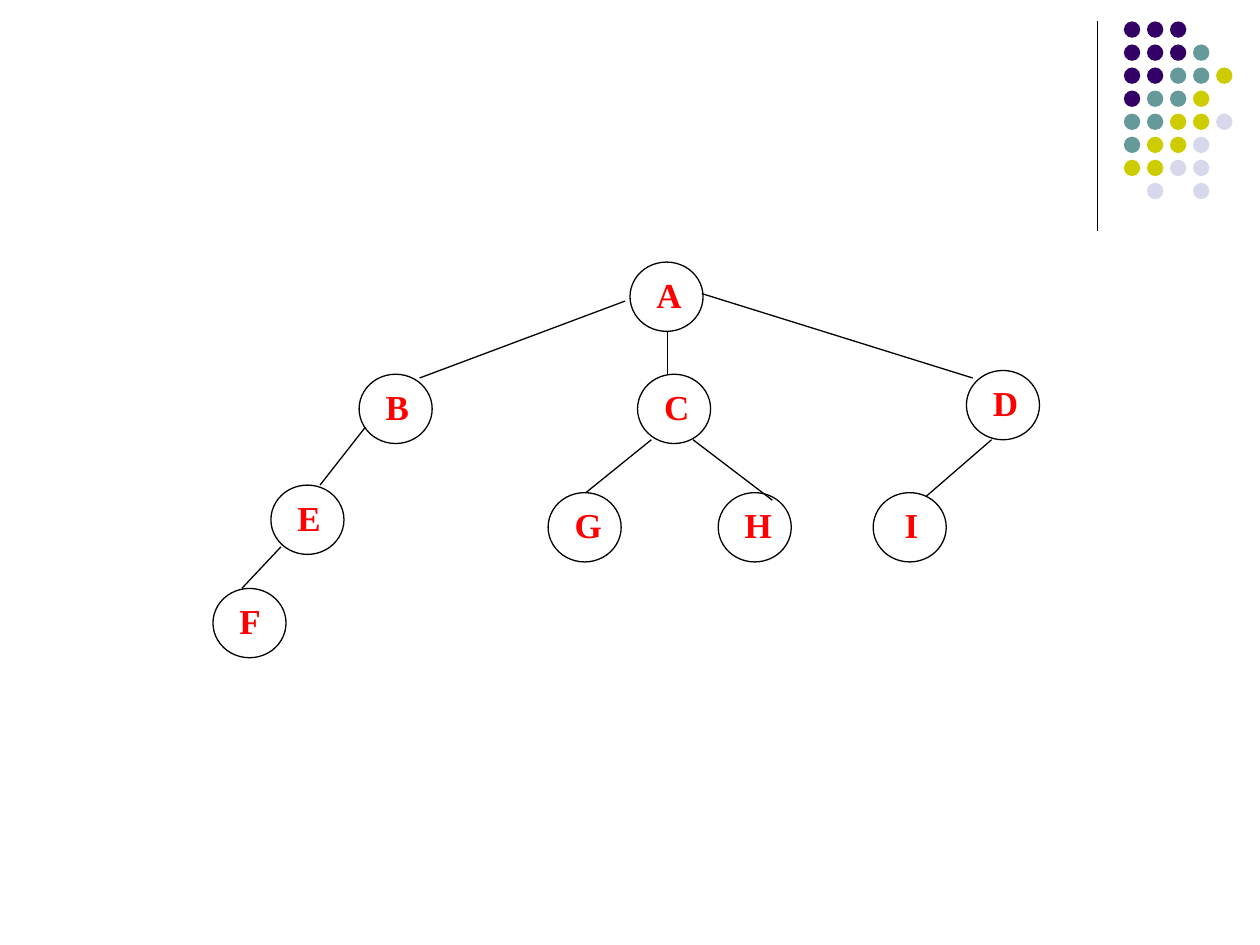
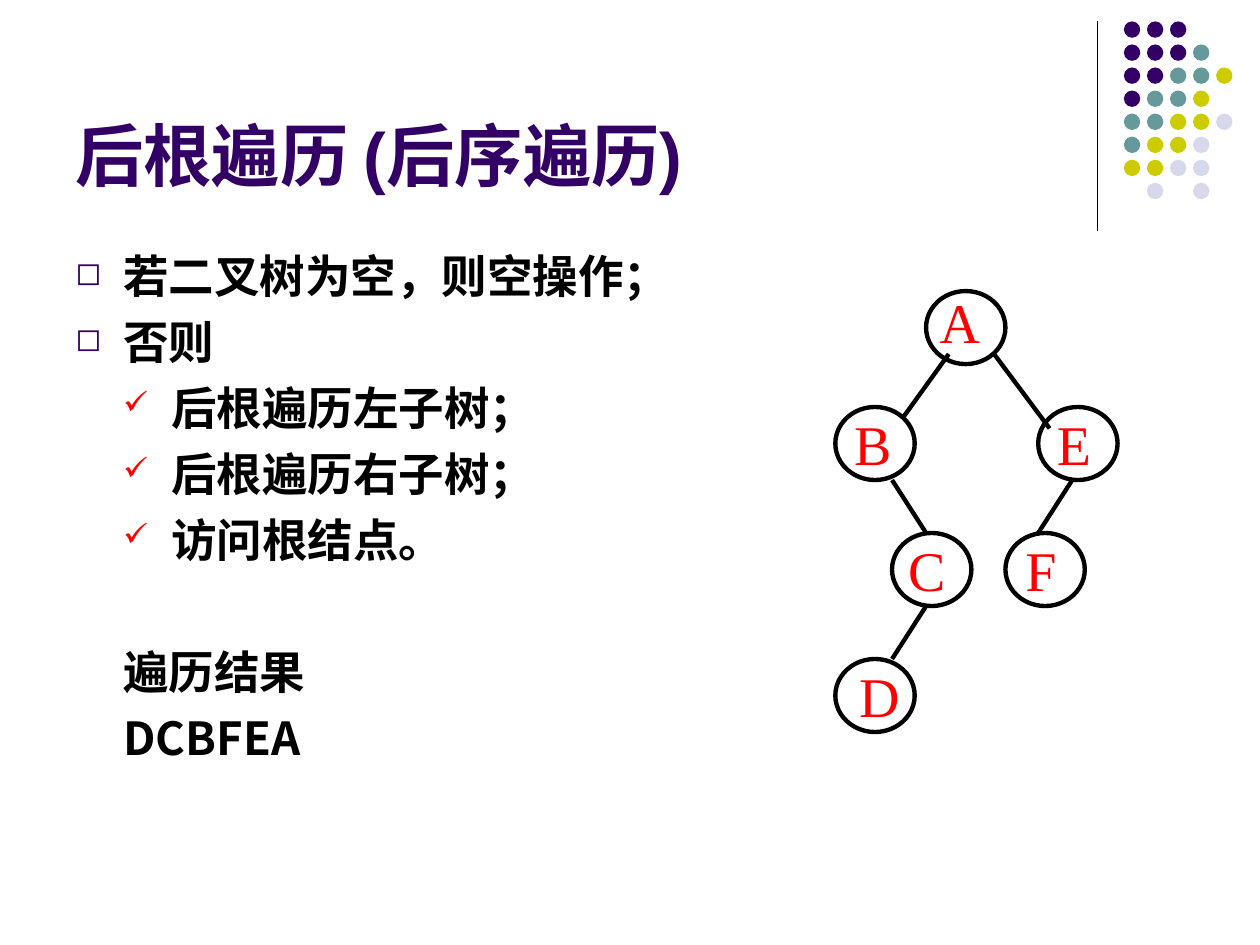
from pptx import Presentation
from pptx.dml.color import RGBColor
from pptx.enum.shapes import MSO_CONNECTOR, MSO_SHAPE
from pptx.enum.text import MSO_ANCHOR
from pptx.oxml.ns import qn
from pptx.util import Inches, Pt
from lxml.etree import SubElement

PURPLE, RED, BLACK = "330066", "FF0000", "000000"
DOT_COLORS = {"P": PURPLE, "T": "669999", "Y": "CCCC00", "L": "D8D8EC"}
DOT_ROWS = ["PPP", "PPPT", "PPTTY", "PTTY", "TTYYL", "TYYL", "YYLL", " L L"]
SERIF, SANS, CHINESE = "Times New Roman", "Arial", "Noto Sans CJK SC"


def color(value):
    """Turn a hex string into a colour."""
    return RGBColor.from_string(value)


class Deck:
    """Hold the shared style and the current slide."""

    def __init__(self):
        self.presentation = Presentation()
        self.presentation.slide_width = Inches(10)
        self.presentation.slide_height = Inches(7.5)
        self.slide = None

    def new_slide(self):
        """Start a slide with the corner rule and dots."""
        self.slide = self.presentation.slides.add_slide(self.presentation.slide_layouts[6])
        self.line((8.71, 0.17), (8.71, 1.83))
        for row, pattern in enumerate(DOT_ROWS):
            for column, key in enumerate(pattern):
                if key in DOT_COLORS:
                    left, top = 8.92 + 0.183 * column, 0.17 + 0.183 * row
                    self.ellipse(left, top, 0.13, 0.13, fill=DOT_COLORS[key])

    def line(self, start, end, weight=0.75):
        """Draw a straight black line."""
        points = [Inches(value) for value in (*start, *end)]
        connector = self.slide.shapes.add_connector(MSO_CONNECTOR.STRAIGHT, *points)
        connector.line.color.rgb = color(BLACK)
        connector.line.width = Pt(weight)
        SubElement(connector._element.spPr, qn("a:effectLst"))

    def ellipse(self, left, top, width, height, fill=None, weight=0.75):
        """Draw a filled dot, or an outlined ring when there is no fill."""
        box = [Inches(value) for value in (left, top, width, height)]
        shape = self.slide.shapes.add_shape(MSO_SHAPE.OVAL, *box)
        shape.shadow.inherit = False
        if fill:
            shape.fill.solid()
            shape.fill.fore_color.rgb = color(fill)
            shape.line.fill.background()
        else:
            shape.fill.background()
            shape.line.color.rgb = color(BLACK)
            shape.line.width = Pt(weight)

    def text_box(self, left, top, width, height, insets):
        """Add an empty wrapping text box and return its frame."""
        box = [Inches(value) for value in (left, top, width, height)]
        frame = self.slide.shapes.add_textbox(*box).text_frame
        frame.word_wrap = True
        frame.margin_left, frame.margin_top, frame.margin_right, frame.margin_bottom = (
            Inches(value) for value in insets)
        return frame

    def style(self, paragraph, size, font, ink, bold=False):
        """Format every run of a paragraph."""
        for run in paragraph.runs:
            run.font.size = Pt(size)
            run.font.name = font
            run.font.bold = bold
            run.font.color.rgb = color(ink)
            SubElement(run._r.get_or_add_rPr(), qn("a:ea"), typeface=CHINESE)

    def label(self, text, box, insets, size, bold, spacing=None):
        """Write the red letter of a tree node."""
        frame = self.text_box(*box, insets)
        frame.text = text
        paragraph = frame.paragraphs[0]
        paragraph.line_spacing = spacing
        self.style(paragraph, size, SERIF, RED, bold)

    def title(self, text):
        """Write the slide title."""
        frame = self.text_box(0.5, 0.13, 8.25, 1.42, (0.1, 0.05, 0.1, 0))
        frame.vertical_anchor = MSO_ANCHOR.BOTTOM
        frame.text = text
        self.style(frame.paragraphs[0], 39, SANS, PURPLE, True)

    def body(self, items):
        """Write the body from (text, level, bullet, bullet colour, space before) rows."""
        frame = self.text_box(0.5, 1.88, 9, 4.82, (0.1, 0, 0.1, 0.05))
        for index, (text, level, bullet, ink, before) in enumerate(items):
            paragraph = frame.add_paragraph() if index else frame.paragraphs[0]
            paragraph.text = text
            paragraph.level = level
            paragraph.line_spacing = Pt(37.7)
            paragraph.space_before = Pt(before)
            self.style(paragraph, 26, CHINESE, BLACK, True)
            self.indent(paragraph, 0.38 * (level + 1), bullet, ink)

    def indent(self, paragraph, margin, bullet, ink):
        """Give a paragraph its hanging indent and optional bullet."""
        properties = paragraph._p.get_or_add_pPr()
        properties.set("marL", str(Inches(margin)))
        properties.set("indent", str(Inches(-0.38)))
        if bullet:
            bullet_color = SubElement(properties, qn("a:buClr"))
            SubElement(bullet_color, qn("a:srgbClr"), val=ink)
            SubElement(properties, qn("a:buSzPct"), val="70000")
            SubElement(properties, qn("a:buChar"), char=bullet)
        else:
            SubElement(properties, qn("a:buNone"))


def general_tree(deck):
    """Build the slide with the nine-node tree."""
    nodes = {"A": (5, 2.08), "E": (2.15, 3.85), "C": (5.06, 2.97),
             "D": (7.67, 2.94), "B": (2.85, 2.97), "I": (6.93, 3.91),
             "H": (5.7, 3.91), "G": (4.35, 3.91), "F": (1.69, 4.67)}
    edges = [((4.96, 2.39), (3.33, 3)), ((5.3, 2.63), (5.3, 2.97)),
             ((5.57, 2.33), (7.72, 3)), ((2.9, 3.39), (2.54, 3.85)),
             ((5.5, 3.49), (6.13, 3.97)), ((5.17, 3.49), (4.65, 3.91)),
             ((7.87, 3.49), (7.35, 3.94)), ((2.23, 4.34), (1.92, 4.67))]
    deck.new_slide()
    for name, (left, top) in nodes.items():
        deck.ellipse(left, top, 0.58, 0.55)
        shift = 0.25 if name == "I" else 0.21
        deck.label(name, (left + shift, top + 0.09, 0.25, 0.37), (0, 0, 0, 0), 20, True)
    for start, end in edges:
        deck.line(start, end)


def postorder_traversal(deck):
    """Build the slide on post-order traversal."""
    deck.new_slide()
    deck.title("后根遍历 (后序遍历)")
    deck.body([
        ("若二叉树为空，则空操作；", 0, "◻", PURPLE, 0),
        ("否则", 0, "◻", PURPLE, 0),
        ("后根遍历左子树；", 1, "✓", RED, 0),
        ("后根遍历右子树；", 1, "✓", RED, 0),
        ("访问根结点。", 1, "✓", RED, 0),
        ("遍历结果", 1, None, None, 37.7),
        ("DCBFEA", 1, None, None, 0),
    ])
    nodes = {"A": (7.35, 2.31, 0.01), "B": (6.63, 3.23, 0.05),
             "D": (6.63, 5.23, 0.09), "F": (7.98, 4.23, 0.06),
             "C": (7.08, 4.23, 0.03), "E": (8.24, 3.23, 0.05)}
    edges = [((7.53, 2.81), (7.17, 3.31)), ((8.51, 3.81), (8.24, 4.23)),
             ((7.89, 2.81), (8.33, 3.4)), ((7.08, 3.81), (7.35, 4.23)),
             ((7.35, 4.81), (7.08, 5.23))]
    for name, (left, top, shift) in nodes.items():
        deck.ellipse(left, top, 0.63, 0.58, weight=2.5)
        spacing = None if name == "A" else 1.1
        deck.label(name, (left + shift, top - 0.08, 0.63, 0.69),
                   (0.1, 0.05, 0.1, 0.05), 32, False, spacing)
    for start, end in edges:
        deck.line(start, end, 2.5)


def main():
    """Build and save the presentation."""
    deck = Deck()
    general_tree(deck)
    postorder_traversal(deck)
    deck.presentation.save("out.pptx")


if __name__ == "__main__":
    main()
